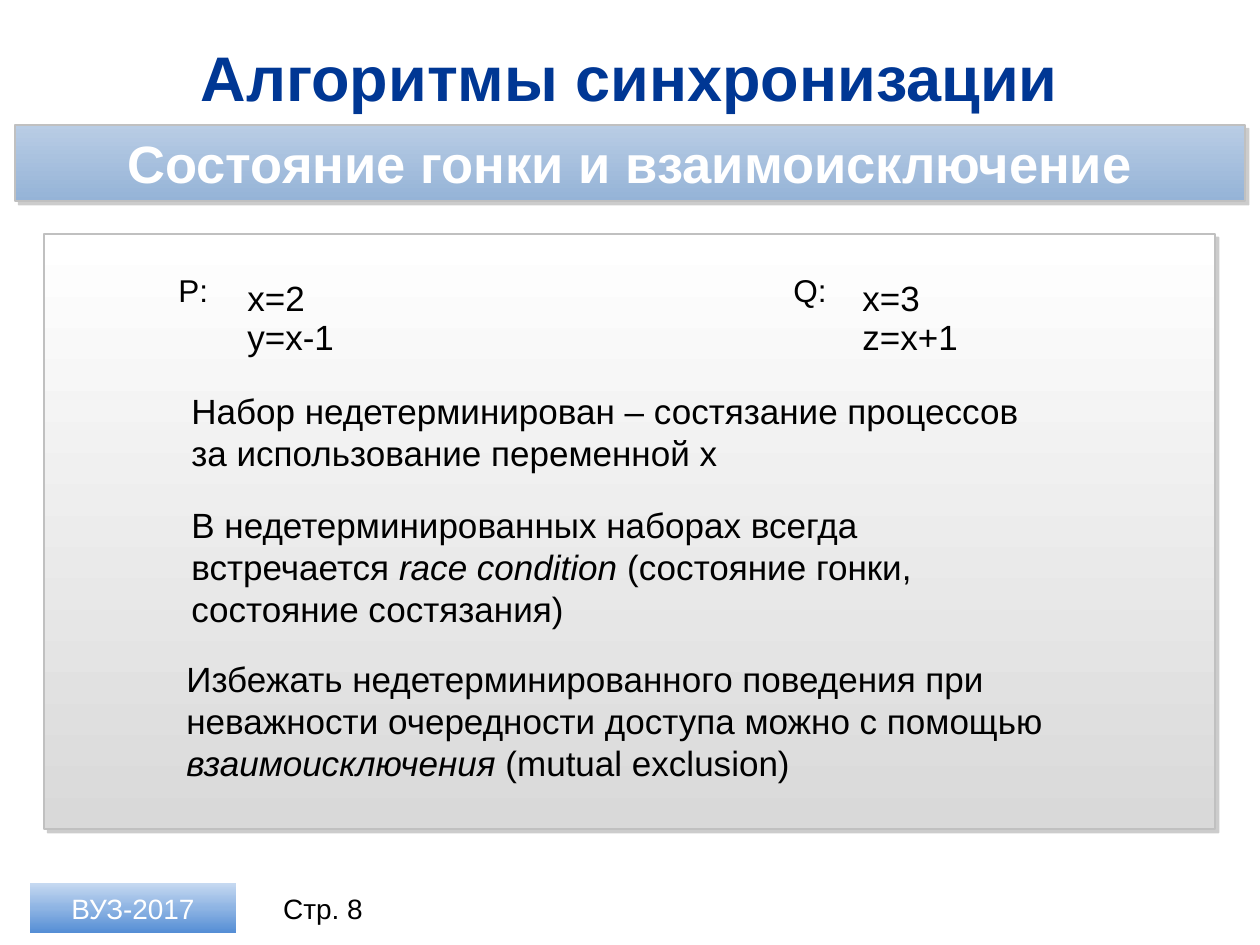
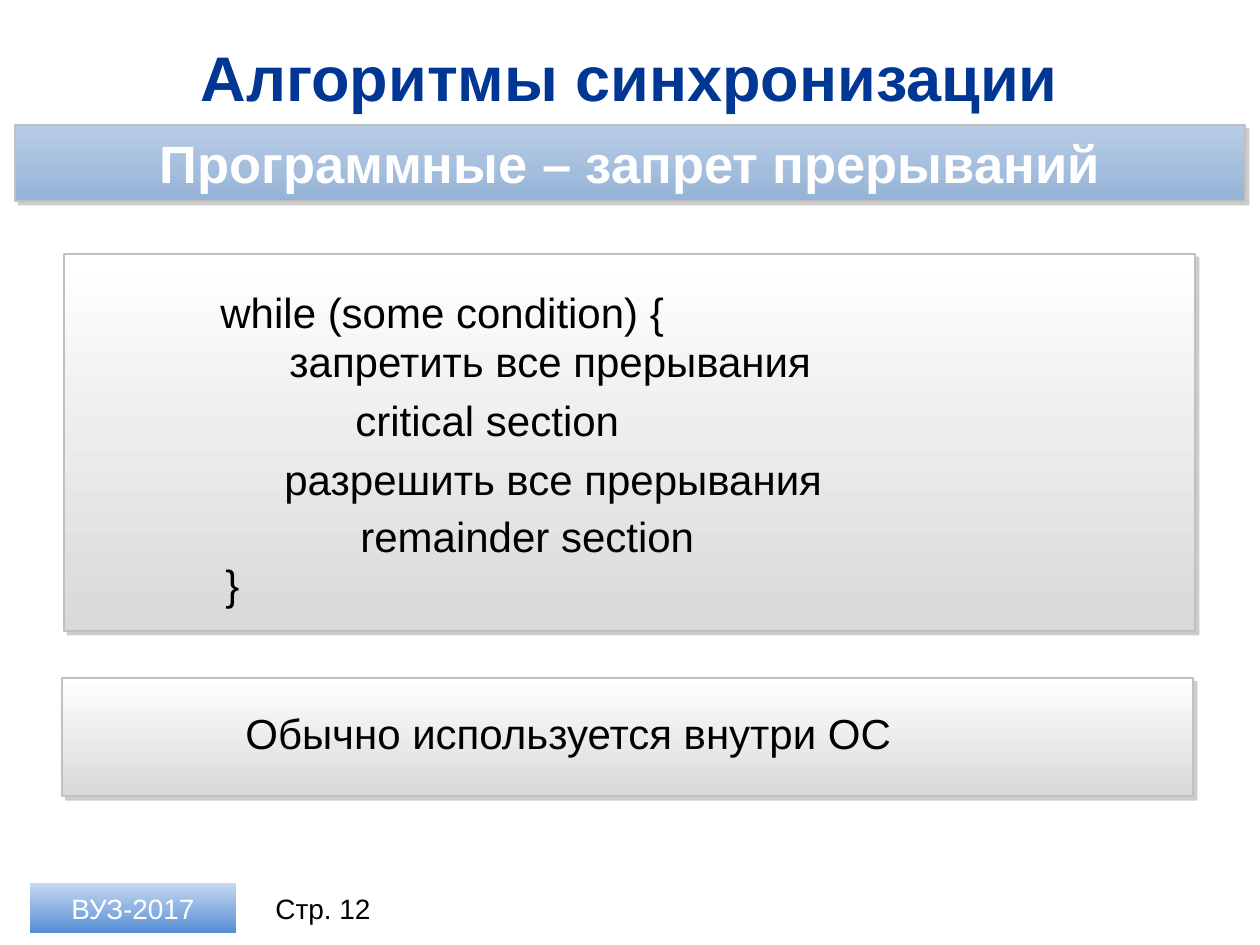
from dataclasses import dataclass

import pptx
import pptx.dml.color
import pptx.enum.shapes
import pptx.enum.text
import pptx.oxml
import pptx.oxml.ns
import pptx.presentation
import pptx.shapes.autoshape
import pptx.slide
import pptx.util
from lxml import etree

EMU_PER_PX = 914400 / 126
LINE_PITCH = 1.2
ALIGN = pptx.enum.text.PP_ALIGN
ANCHOR = pptx.enum.text.MSO_ANCHOR


@dataclass(frozen=True)
class Theme:
    font: str = "Arial"
    title: str = "003794"
    ink: str = "000000"
    light: str = "FFFFFF"
    outline: str = "C0C0C0"
    shadow: str = "808080"
    band_fill: tuple[str, ...] = ("B9CDE5", "95B3D7")
    panel_fill: tuple[str, ...] = ("FFFFFF", "D9D9D9")
    badge_fill: tuple[str, ...] = ("C6D9F1", "8EB4E3", "558ED5")
    title_size: int = 36
    band_size: int = 30
    code_size: int = 24
    body_size: int = 20
    label_size: int = 18
    footer_size: int = 16


@dataclass(frozen=True)
class Box:
    left: int
    top: int
    width: int
    height: int


@dataclass(frozen=True)
class Note:
    """A text block; words between asterisks are italic."""
    text: str
    box: Box
    size: int


@dataclass(frozen=True)
class Page:
    heading: str
    number: int
    panels: tuple[Box, ...]
    notes: tuple[Note, ...]


THEME = Theme()
TITLE_BOX = Box(44, 33, 1171, 86)
BAND_BOX = Box(15, 125, 1230, 76)
BADGE_BOX = Box(30, 883, 206, 50)
NUMBER_BOX = Box(255, 883, 136, 50)


def px(length: int) -> pptx.util.Emu:
    return pptx.util.Emu(round(length * EMU_PER_PX))


def place(box: Box) -> tuple[pptx.util.Emu, ...]:
    return px(box.left), px(box.top), px(box.width), px(box.height)


def color(value: str) -> pptx.dml.color.RGBColor:
    return pptx.dml.color.RGBColor.from_string(value)


def write(shape: pptx.shapes.autoshape.Shape, text: str, *, size: int,
          ink: str = THEME.ink, bold: bool = False, align: ALIGN = ALIGN.LEFT,
          anchor: ANCHOR = ANCHOR.TOP, pitch: float | None = None) -> None:
    """Fill a shape with text; words between asterisks become italic."""
    frame = shape.text_frame
    frame.word_wrap = True
    frame.vertical_anchor = anchor
    paragraph = frame.paragraphs[0]
    paragraph.alignment = align
    if pitch:
        paragraph.line_spacing = pptx.util.Pt(size * pitch)
    for index, part in enumerate(text.split("*")):
        if not part:
            continue
        run = paragraph.add_run()
        run.text = part
        run.font.name = THEME.font
        run.font.size = pptx.util.Pt(size)
        run.font.bold = bold
        run.font.italic = index % 2 == 1
        run.font.color.rgb = color(ink)


def add_text(slide: pptx.slide.Slide, box: Box, text: str, **text_format) -> None:
    write(slide.shapes.add_textbox(*place(box)), text, **text_format)


def add_color(parent: etree._Element, value: str) -> etree._Element:
    return etree.SubElement(parent, pptx.oxml.ns.qn("a:srgbClr"), val=value)


def fill_downwards(shape: pptx.shapes.autoshape.Shape, colors: tuple[str, ...]) -> None:
    """Apply a gradient with evenly spaced stops, first colour at the top."""
    shape.fill.gradient()
    shape.fill.gradient_angle = 270
    stops = next(shape.element.iter(pptx.oxml.ns.qn("a:gsLst")))
    for stop in list(stops):
        stops.remove(stop)
    for index, value in enumerate(colors):
        position = round(index * 100000 / (len(colors) - 1))
        stop = etree.SubElement(stops, pptx.oxml.ns.qn("a:gs"), pos=str(position))
        add_color(stop, value)


def add_rectangle(slide: pptx.slide.Slide, box: Box, colors: tuple[str, ...],
                  raised: bool = True) -> pptx.shapes.autoshape.Shape:
    """Draw a gradient rectangle; a raised one has an outline and a shadow."""
    shape = slide.shapes.add_shape(pptx.enum.shapes.MSO_SHAPE.RECTANGLE, *place(box))
    fill_downwards(shape, colors)
    shape.shadow.inherit = False
    if not raised:
        shape.line.fill.background()
        return shape
    shape.line.color.rgb = color(THEME.outline)
    shape.line.width = pptx.util.Pt(1)
    effects = next(shape.element.iter(pptx.oxml.ns.qn("a:effectLst")))
    shadow = etree.SubElement(effects, pptx.oxml.ns.qn("a:outerShdw"), blurRad="0",
                              dist=str(pptx.util.Pt(3)), dir=str(45 * 60000),
                              algn="tl", rotWithShape="0")
    etree.SubElement(add_color(shadow, THEME.shadow), pptx.oxml.ns.qn("a:alpha"), val="40000")
    return shape


def add_page(presentation: pptx.presentation.Presentation, page: Page) -> None:
    slide = presentation.slides.add_slide(presentation.slide_layouts[6])
    centred = {"align": ALIGN.CENTER, "anchor": ANCHOR.MIDDLE}

    add_text(slide, TITLE_BOX, "Алгоритмы синхронизации", size=THEME.title_size,
             ink=THEME.title, bold=True, **centred)
    band = add_rectangle(slide, BAND_BOX, THEME.band_fill)
    frame = band.text_frame
    frame.margin_left = frame.margin_right = px(30)
    frame.margin_top = frame.margin_bottom = px(5)
    write(band, page.heading, size=THEME.band_size, ink=THEME.light, bold=True, **centred)

    for panel in page.panels:
        add_rectangle(slide, panel, THEME.panel_fill)
    for note in page.notes:
        add_text(slide, note.box, note.text, size=note.size, pitch=LINE_PITCH)

    badge = add_rectangle(slide, BADGE_BOX, THEME.badge_fill, raised=False)
    write(badge, "ВУЗ-2017", size=THEME.footer_size, ink=THEME.light, **centred)
    add_text(slide, NUMBER_BOX, f"Стр. {page.number}", size=THEME.footer_size, **centred)


def process_notes(left: int, name: str, first: str, second: str) -> tuple[Note, ...]:
    """A process label with its two statements to the right."""
    return (
        Note(name, Box(left, 265, 112, 50), THEME.label_size),
        Note(first, Box(left + 69, 270, 112, 54), THEME.body_size),
        Note(second, Box(left + 69, 309, 137, 54), THEME.body_size),
    )


def body_note(left: int, top: int, height: int, text: str) -> Note:
    return Note(text, Box(left, top, 883, height), THEME.body_size)


def code_note(left: int, top: int, text: str) -> Note:
    return Note(text, Box(left, top, 790, 63), THEME.code_size)


PAGES = (
    Page(
        "Состояние гонки и взаимоисключение", 8,
        (Box(44, 234, 1171, 595),),
        (
            *process_notes(166, "P:", "x=2", "y=x-1"),
            *process_notes(781, "Q:", "x=3", "z=x+1"),
            body_note(179, 383, 97, "Набор недетерминирован – состязание процессов "
                      "за использование переменной x"),
            body_note(179, 497, 139, "В недетерминированных наборах всегда встречается "
                      "*race condition *(состояние гонки, состояние состязания)"),
            body_note(174, 651, 139, "Избежать недетерминированного поведения при "
                      "неважности очередности доступа можно с помощью "
                      "*взаимоисключения* (mutual exclusion)"),
        ),
    ),
    Page(
        "Программные – запрет прерываний", 12,
        (Box(64, 254, 1131, 377), Box(62, 678, 1131, 118)),
        (
            code_note(208, 280, "while (some condition) {"),
            code_note(277, 329, "запретить все прерывания"),
            code_note(343, 388, "critical section"),
            code_note(272, 447, "разрешить все прерывания"),
            code_note(348, 504, "remainder section"),
            code_note(213, 552, "}"),
            code_note(233, 701, "Обычно используется внутри ОС"),
        ),
    ),
)


def main() -> None:
    presentation = pptx.Presentation()
    presentation.slide_width = px(1260)
    presentation.slide_height = px(945)
    for page in PAGES:
        add_page(presentation, page)
    presentation.save("out.pptx")


if __name__ == "__main__":
    main()
